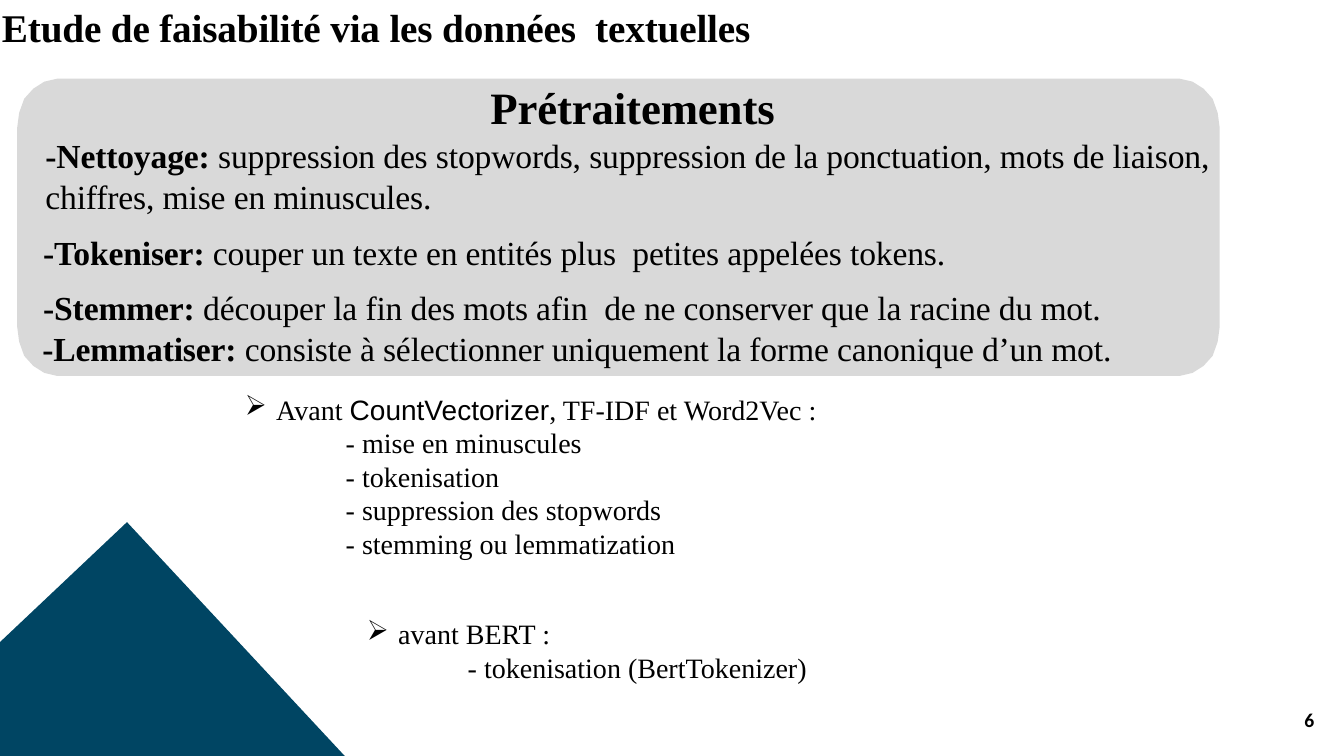
from dataclasses import dataclass

from lxml import etree
from pptx import Presentation
from pptx.dml.color import RGBColor
from pptx.enum.text import MSO_ANCHOR, PP_ALIGN
from pptx.oxml.ns import qn
from pptx.shapes.autoshape import Shape
from pptx.slide import Slide
from pptx.text.text import TextFrame
from pptx.util import Emu, Inches, Pt

LEFT, CENTER = PP_ALIGN.LEFT, PP_ALIGN.CENTER
TOP = MSO_ANCHOR.TOP

COLORS = {"text": "000000", "panel": "D9D9D9", "peak": "004563"}
SERIF, SANS, NUMBER_FONT = "Times New Roman", "Arial", "Calibri"

SLIDE_WIDTH, SLIDE_HEIGHT = Inches(13.33), Inches(7.5)
COLUMNS, ROWS = 160, 90

Points = list[tuple[float, float]]


@dataclass(frozen=True)
class TextRun:
    text: str
    size: float = 20
    bold: bool = False
    font: str = SERIF
    tracking: float = 0


@dataclass(frozen=True)
class Line:
    """A paragraph; indents are in grid columns, spacing in points."""
    runs: tuple[TextRun, ...]
    indent: float = 0
    hanging: float = 0
    bullet: str = ""
    space_before: float = 0
    line_height: float = 0
    alignment: PP_ALIGN = LEFT


@dataclass(frozen=True)
class TextBlock:
    """A text box; place and insets are in grid columns and rows."""
    left: float
    top: float
    width: float
    height: float
    lines: tuple[Line, ...]
    inset_x: float = 0
    inset_y: float = 0


def across(columns: float) -> Emu:
    return Emu(round(SLIDE_WIDTH * columns / COLUMNS))


def down(rows: float) -> Emu:
    return Emu(round(SLIDE_HEIGHT * rows / ROWS))


def step(label: str, explanation: str, indent: float, space_before: float) -> Line:
    """A preprocessing step: bold label, then its explanation."""
    return Line(
        (TextRun(label, 24, True, tracking=-0.1),
         TextRun(explanation, 24, tracking=-0.1)),
        indent=indent, space_before=space_before,
    )


def heading(*runs: TextRun) -> Line:
    return Line(runs, indent=3.72, hanging=3.72, bullet="➢")


def item(text: str) -> Line:
    return Line((TextRun(text),), indent=12)


PANEL_LEFT, PANEL_TOP, PANEL_RIGHT, PANEL_BOTTOM = 2.04, 9.36, 145.2, 44.76
CORNER: Points = [(4.8, 0), (3.24, 0.36), (1.92, 1.2),
                  (0.84, 2.4), (0.24, 4.08), (0, 5.88)]
PEAK: Points = [(15.12, 62.16), (0, 76.44), (0, ROWS), (41.04, ROWS)]

PANEL_LINES = (
    Line((TextRun("Prétraitements", 32, True, tracking=-0.1),),
         indent=3.36, alignment=CENTER),
    step("-Nettoyage: ",
         "suppression des stopwords, suppression de la ponctuation, "
         "mots de liaison, chiffres, mise en minuscules.", 3.36, 1),
    step("-Tokeniser: ",
         "couper un texte en entités plus  petites appelées tokens.", 3.1, 11.1),
    step("-Stemmer: ",
         "découper la fin des mots afin  de ne conserver que la racine du mot.",
         3.1, 11.1),
    step("-Lemmatiser: ",
         "consiste à sélectionner uniquement la forme canonique d’un mot.", 3, 0),
)

BLOCKS = (
    TextBlock(0.12, 0.12, 91.92, 5.76, (
        Line((TextRun("Etude de faisabilité via les données  textuelles",
                      28, True, tracking=-0.1),), indent=0.12),
    ), inset_y=0.27),
    TextBlock(27.96, 46.08, 81.36, 21.36, (
        heading(TextRun("Avant "), TextRun("CountVectorizer", font=SANS),
                TextRun(", TF-IDF et Word2Vec :")),
        item("- mise en minuscules"),
        item("- tokenisation"),
        item("- suppression des stopwords"),
        item("- stemming ou lemmatization"),
    ), inset_x=1.2, inset_y=0.6),
    TextBlock(42.48, 72.84, 55.2, 9.24, (
        heading(TextRun("avant BERT :")),
        item("- tokenisation (BertTokenizer)"),
    ), inset_x=1.2, inset_y=0.6),
    TextBlock(153.6, 84.72, 3.36, 2.64, (
        Line((TextRun("6", 14, True, NUMBER_FONT),), indent=1.68, line_height=14.3),
    )),
)


def panel_outline() -> Points:
    """Mirror one rounded corner into all four, counter-clockwise."""
    top_left = [(PANEL_LEFT + x, PANEL_TOP + y) for x, y in CORNER]
    bottom_left = [(PANEL_LEFT + x, PANEL_BOTTOM - y) for x, y in reversed(CORNER)]
    left_side = top_left + bottom_left
    right_side = [(PANEL_LEFT + PANEL_RIGHT - x, y) for x, y in reversed(left_side)]
    return left_side + right_side


def draw_outline(slide: Slide, points: Points, color: str) -> Shape:
    corners = [(across(x), down(y)) for x, y in points]
    builder = slide.shapes.build_freeform(*corners[0], scale=1.0)
    builder.add_line_segments(corners[1:], close=True)
    shape = builder.convert_to_shape()
    shape.shadow.inherit = False
    shape.fill.solid()
    shape.fill.fore_color.rgb = RGBColor.from_string(COLORS[color])
    shape.line.fill.background()
    return shape


def write_lines(frame: TextFrame, lines: tuple[Line, ...],
                inset_x: float, inset_y: float) -> None:
    frame.word_wrap = True
    frame.vertical_anchor = TOP
    frame.margin_left = frame.margin_right = across(inset_x)
    frame.margin_top = frame.margin_bottom = down(inset_y)
    for index, line in enumerate(lines):
        paragraph = frame.add_paragraph() if index else frame.paragraphs[0]
        paragraph.alignment = line.alignment
        if line.space_before:
            paragraph.space_before = Pt(line.space_before)
        if line.line_height:
            paragraph.line_spacing = Pt(line.line_height)
        properties = paragraph._p.get_or_add_pPr()
        properties.set("marL", str(across(line.indent)))
        properties.set("indent", str(-across(line.hanging)))
        if line.bullet:
            etree.SubElement(properties, qn("a:buChar")).set("char", line.bullet)
        for text_run in line.runs:
            run = paragraph.add_run()
            run.text = text_run.text
            run.font.name = text_run.font
            run.font.size = Pt(text_run.size)
            run.font.bold = text_run.bold
            run.font.color.rgb = RGBColor.from_string(COLORS["text"])
            if text_run.tracking:
                run._r.get_or_add_rPr().set("spc", str(round(text_run.tracking * 100)))


def draw_text(slide: Slide, block: TextBlock) -> None:
    box = slide.shapes.add_textbox(across(block.left), down(block.top),
                                   across(block.width), down(block.height))
    write_lines(box.text_frame, block.lines, block.inset_x, block.inset_y)


def main() -> None:
    presentation = Presentation()
    presentation.slide_width, presentation.slide_height = SLIDE_WIDTH, SLIDE_HEIGHT
    slide = presentation.slides.add_slide(presentation.slide_layouts[6])
    panel = draw_outline(slide, panel_outline(), "panel")
    write_lines(panel.text_frame, PANEL_LINES, inset_x=0, inset_y=0.17)
    draw_outline(slide, PEAK, "peak")
    for block in BLOCKS:
        draw_text(slide, block)
    presentation.save("out.pptx")


if __name__ == "__main__":
    main()
